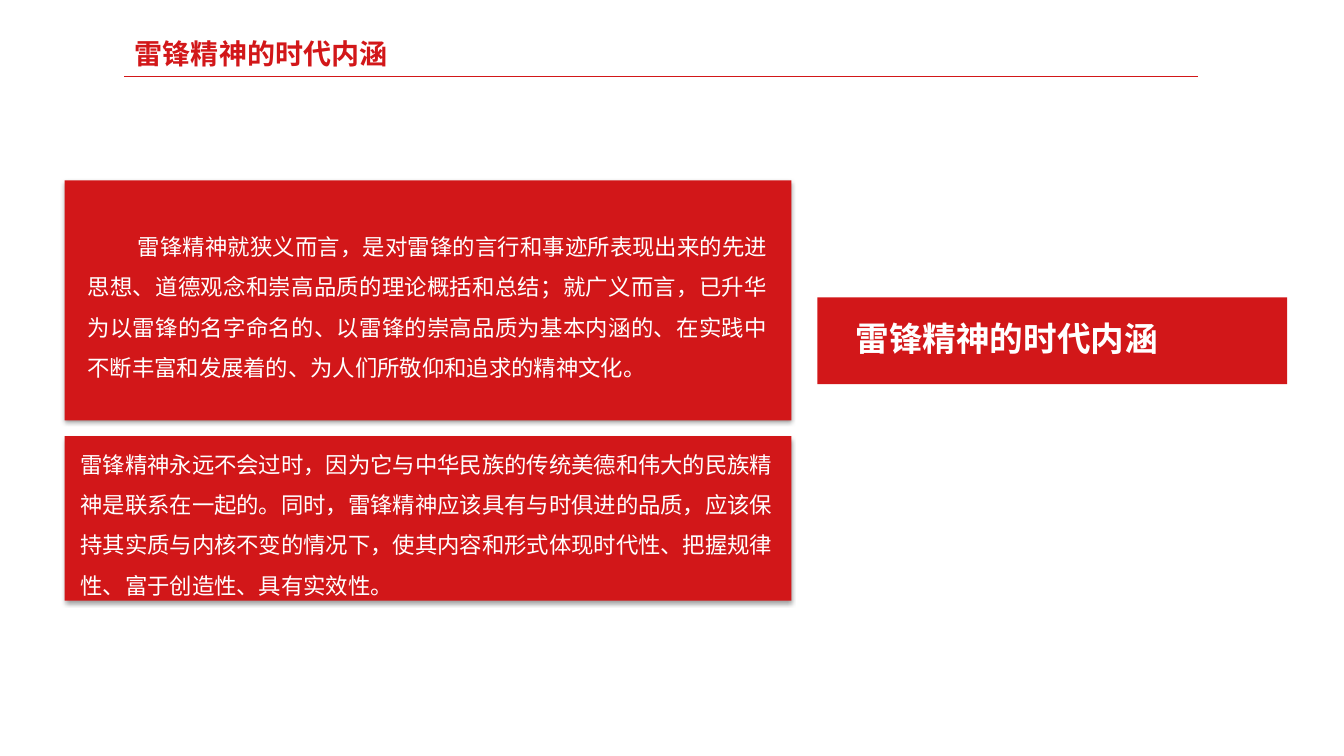
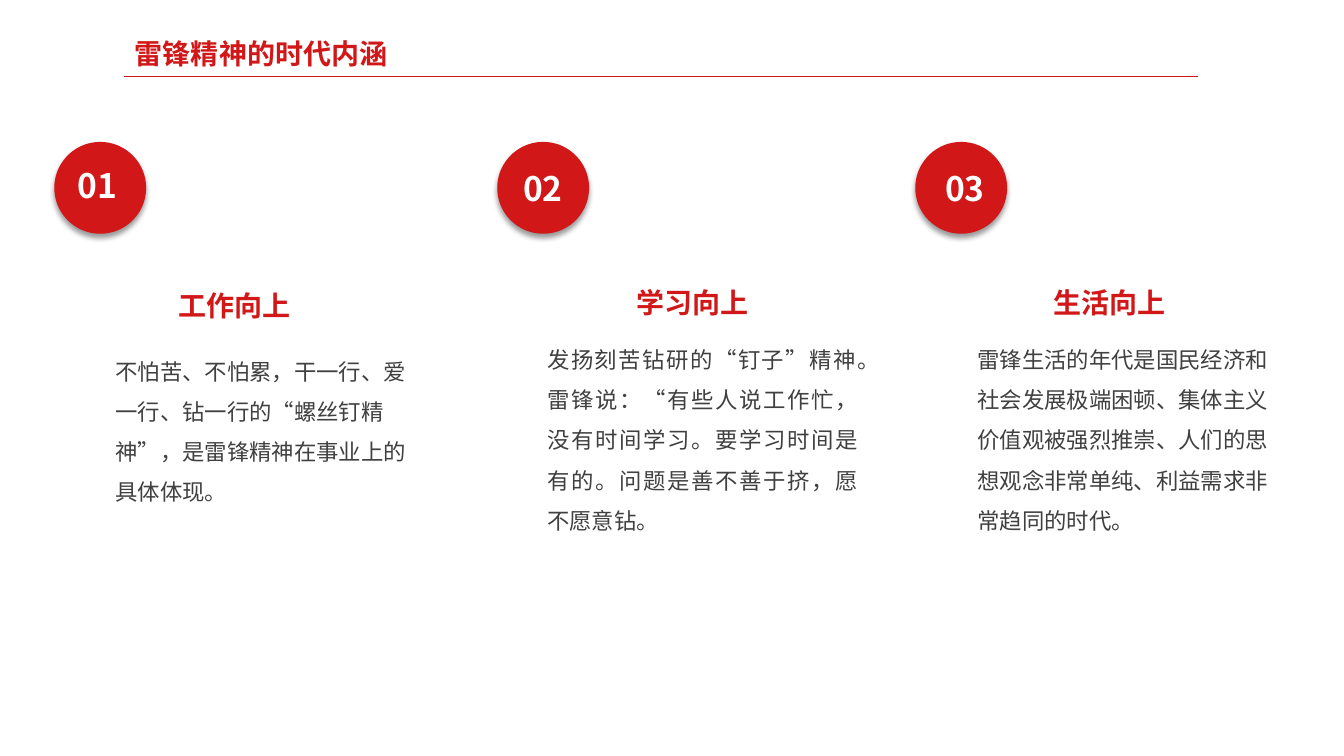
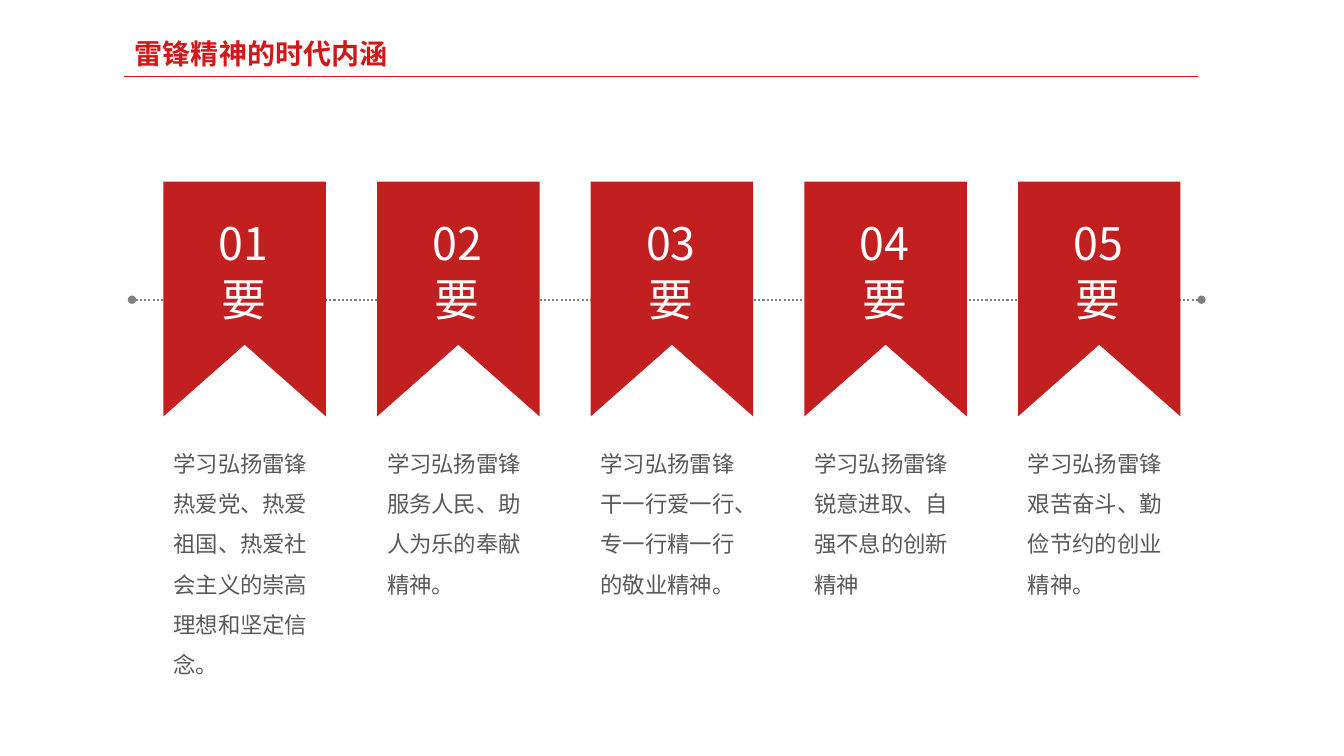
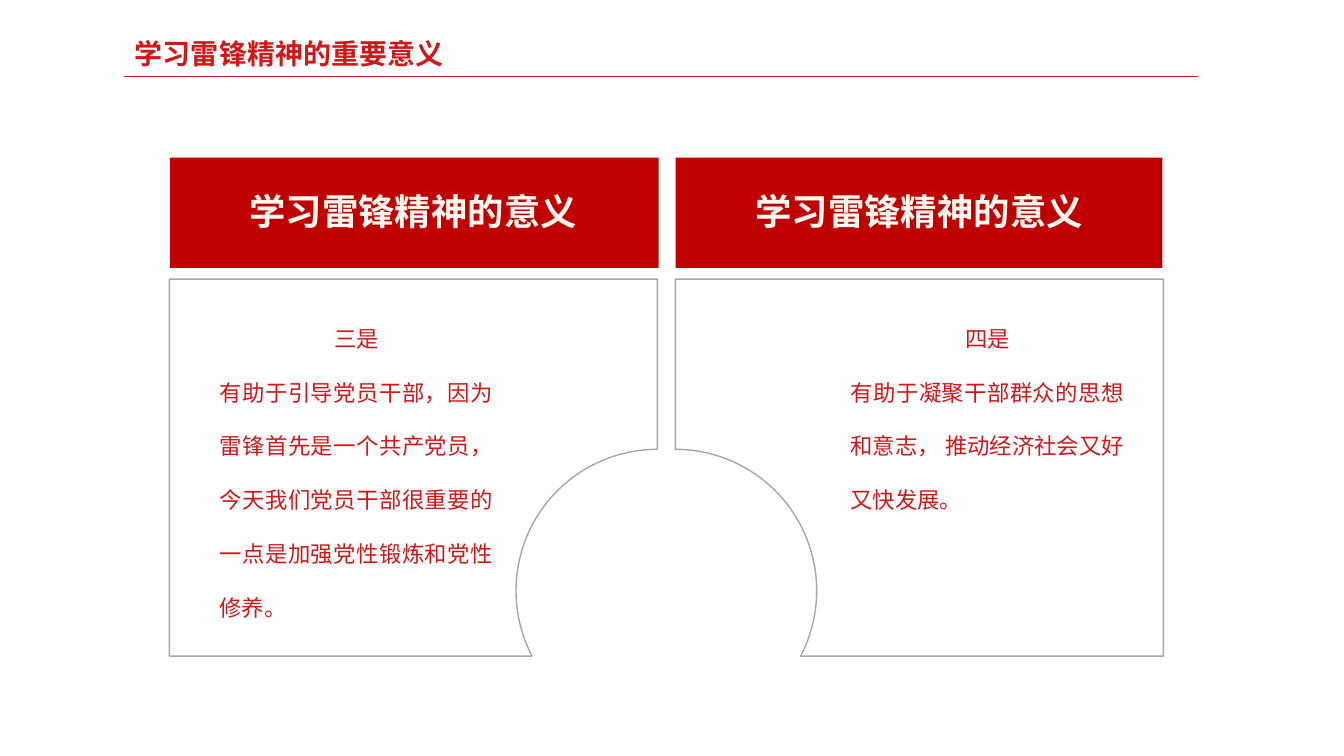
"""Build four slides on the spirit of Lei Feng and why it matters."""
from dataclasses import dataclass
from math import asin, cos, pi, sin
from typing import NamedTuple

from lxml.etree import SubElement
from pptx import Presentation
from pptx.dml.color import RGBColor as Rgb
from pptx.enum.dml import MSO_LINE_DASH_STYLE as Dash
from pptx.enum.shapes import MSO_CONNECTOR_TYPE as Link
from pptx.enum.shapes import MSO_SHAPE as Form
from pptx.enum.text import MSO_ANCHOR as Anchor
from pptx.enum.text import MSO_AUTO_SIZE as Fit
from pptx.enum.text import PP_ALIGN as Align
from pptx.oxml.ns import qn
from pptx.util import Pt


@dataclass(frozen=True)
class Theme:
    font: str = "Noto Sans CJK SC"
    red: str = "D21719"
    flag: str = "C11F20"
    deep: str = "C00000"
    white: str = "FFFFFF"
    cream: str = "FFFAF0"
    dark: str = "404040"
    gray: str = "595959"
    rule: str = "808080"
    edge: str = "A6A6A6"
    body: int = 16
    title: int = 20
    label: int = 24
    head: int = 26
    big: int = 32


class Box(NamedTuple):
    x: float
    y: float
    w: float
    h: float


class Shade(NamedTuple):
    alpha: int
    blur: float
    dist: float


@dataclass(frozen=True)
class Step:
    disc: float
    num: Box
    name: Box
    body: Box
    title: str
    text: str
    align: Align = Align.LEFT


@dataclass(frozen=True)
class Panel:
    side: int
    band: Box
    head: Box
    body: Box
    lead: str
    text: str


THEME = Theme()
SOFT = Shade(38, 3.1, 1.6)
DEEP = Shade(40, 4, 3)
TITLE = "雷锋精神的时代内涵"

STEPS = [
    Step(38.8, Box(48.2, 114.5, 49, 36), Box(120.2, 202.3, 110, 31.5),
         Box(75.5, 242.4, 228.2, 91.5), "工作向上",
         "不怕苦、不怕累，干一行、爱一行、钻一行的“螺丝钉精神”，是雷锋精神在事业上的具体体现。"),
    Step(355.2, Box(366.5, 116.3, 54, 36), Box(447.8, 200.2, 110, 31.5),
         Box(383.8, 234, 236, 120.2), "学习向上",
         "发扬刻苦钻研的“钉子”精神。雷锋说：“有些人说工作忙，没有时间学习。要学习时间是有的。"
         "问题是善不善于挤，愿不愿意钻。", Align.JUSTIFY),
    Step(653.8, Box(668, 116.3, 50, 36), Box(745.2, 200.2, 110, 31.5),
         Box(691.2, 234, 223.2, 152.6), "生活向上",
         "雷锋生活的年代是国民经济和社会发展极端困顿、集体主义价值观被强烈推崇、"
         "人们的思想观念非常单纯、利益需求非常趋同的时代。"),
]

AIMS = [
    "热爱党、热爱祖国、热爱社会主义的崇高理想和坚定信念。",
    "服务人民、助人为乐的奉献精神。",
    "干一行爱一行、专一行精一行的敬业精神。",
    "锐意进取、自强不息的创新精神",
    "艰苦奋斗、勤俭节约的创业精神。",
]

PANELS = [
    Panel(-1, Box(121.3, 112.6, 349.2, 78.8), Box(131.8, 131.8, 327, 39),
          Box(149.8, 209.5, 209.5, 196), "三是",
          "有助于引导党员干部，因为雷锋首先是一个共产党员，"
          "今天我们党员干部很重要的一点是加强党性锻炼和党性修养。"),
    Panel(1, Box(482.6, 112.6, 347.8, 78.8), Box(493.2, 131.8, 327, 39),
          Box(600.5, 209.5, 209.5, 163), "四是",
          "有助于凝聚干部群众的思想和意志， 推动经济社会又好又快发展。"),
]


def hue(code: str) -> Rgb:
    """Turn a hex code into a colour."""
    return Rgb.from_string(code)


def say(slide, box: Box, *texts: str, size: int = THEME.body, color: str = THEME.white,
        bold: bool = False, aligns: tuple = (Align.LEFT,), gap: float = 1.0,
        indent: float = 0, anchor: Anchor = Anchor.TOP, grow: bool = True) -> None:
    """Write one paragraph per text in a text box."""
    frame = slide.shapes.add_textbox(*map(Pt, box)).text_frame
    frame.word_wrap = True
    frame.auto_size = Fit.SHAPE_TO_FIT_TEXT if grow else Fit.NONE
    frame.vertical_anchor = anchor
    for i, text in enumerate(texts):
        para = frame.add_paragraph() if i else frame.paragraphs[0]
        para.alignment = aligns[i]
        para.line_spacing = gap
        if indent:
            para._p.get_or_add_pPr().set("indent", str(Pt(indent)))
        run = para.add_run()
        run.text = text
        font = run.font
        font.size, font.bold, font.name = Pt(size), bold, THEME.font
        font.color.rgb = hue(color)
        SubElement(run._r.get_or_add_rPr(), qn("a:ea"), typeface=THEME.font)


def paint(shape, fill: str = "", edge: str = "", shade: Shade | None = None) -> None:
    """Set the fill, outline and shadow of a shape."""
    if fill:
        shape.fill.solid()
        shape.fill.fore_color.rgb = hue(fill)
    else:
        shape.fill.background()
    if edge:
        shape.line.color.rgb = hue(edge)
        shape.line.width = Pt(1)
    else:
        shape.line.fill.background()
    shape.shadow.inherit = False
    if shade:
        glow = shape._element.spPr.find(qn("a:effectLst"))
        outer = SubElement(glow, qn("a:outerShdw"), blurRad=str(Pt(shade.blur)),
                           dist=str(Pt(shade.dist)), dir="5400000",
                           algn="t", rotWithShape="0")
        tint = SubElement(outer, qn("a:srgbClr"), val="000000")
        SubElement(tint, qn("a:alpha"), val=str(shade.alpha * 1000))


def block(slide, box: Box, fill: str, form: Form = Form.RECTANGLE,
          shade: Shade | None = None) -> None:
    """Draw a filled preset shape."""
    paint(slide.shapes.add_shape(form, *map(Pt, box)), fill, shade=shade)


def trace(slide, points: list, fill: str = "", edge: str = "") -> None:
    """Draw a closed outline through the points."""
    spots = [(Pt(x), Pt(y)) for x, y in points]
    path = slide.shapes.build_freeform(*spots[0])
    path.add_line_segments(spots[1:], close=True)
    paint(path.convert_to_shape(), fill, edge)


def rule(slide, left: float, right: float, y: float, color: str, width: float,
         dots: bool = False) -> None:
    """Draw a level line, dotted with round ends on request."""
    link = slide.shapes.add_connector(Link.STRAIGHT, Pt(left), Pt(y), Pt(right), Pt(y))
    link.line.color.rgb = hue(color)
    link.line.width = Pt(width)
    if dots:
        link.line.dash_style = Dash.ROUND_DOT
        for end in ("a:headEnd", "a:tailEnd"):
            SubElement(link.line._get_or_add_ln(), qn(end), type="oval")
    SubElement(link._element.spPr, qn("a:effectLst"))


def start(deck, title: str):
    """Add a blank slide with its title and rule."""
    slide = deck.slides.add_slide(deck.slide_layouts[6])
    rule(slide, 88.6, 855.4, 54.7, THEME.red, 1)
    say(slide, Box(89.3, 15.1, 272.2, 36), title, size=THEME.title,
        color=THEME.red, bold=True, gap=1.3)
    return slide


def sense(deck) -> None:
    """Draw the slide on what the spirit means."""
    slide = start(deck, TITLE)
    block(slide, Box(583.9, 212.4, 335.5, 62), THEME.red)
    say(slide, Box(604, 221, 294.5, 44.6), TITLE, size=THEME.label, bold=True,
        aligns=(Align.JUSTIFY,), gap=0.9, anchor=Anchor.MIDDLE, grow=False)
    block(slide, Box(46.2, 128.8, 519.1, 171.4), THEME.red, shade=SOFT)
    say(slide, Box(55.4, 152.6, 500.4, 123.8),
        "雷锋精神就狭义而言，是对雷锋的言行和事迹所表现出来的先进思想、道德观念和崇高品质的"
        "理论概括和总结；就广义而言，已升华为以雷锋的名字命名的、以雷锋的崇高品质为基本内涵的、"
        "在实践中不断丰富和发展着的、为人们所敬仰和追求的精神文化。",
        aligns=(Align.JUSTIFY,), gap=1.5, indent=36, anchor=Anchor.MIDDLE)
    block(slide, Box(46.2, 311.6, 519.1, 117.4), THEME.red, shade=SOFT)
    say(slide, Box(50.4, 308.2, 510.5, 123.8),
        "雷锋精神永远不会过时，因为它与中华民族的传统美德和伟大的民族精神是联系在一起的。"
        "同时，雷锋精神应该具有与时俱进的品质，应该保持其实质与内核不变的情况下，"
        "使其内容和形式体现时代性、把握规律性、富于创造性、具有实效性。",
        gap=1.5, anchor=Anchor.MIDDLE)


def climb(deck) -> None:
    """Draw the slide on the three ways to rise."""
    slide = start(deck, TITLE)
    for i, step in enumerate(STEPS, 1):
        block(slide, Box(step.disc, 101.4, 65.6, 65.6), THEME.red, Form.OVAL, DEEP)
        say(slide, step.num, f"{i:02}", size=THEME.label, bold=True)
        say(slide, step.name, step.title, size=THEME.title, color=THEME.red,
            bold=True, aligns=(Align.JUSTIFY,))
        say(slide, step.body, step.text, color=THEME.dark,
            aligns=(step.align,), gap=1.5)


def goals(deck) -> None:
    """Draw the slide of five numbered ribbons."""
    slide = start(deck, TITLE)
    rule(slide, 858.2, 94.3, 214.1, THEME.rule, 1.5, dots=True)
    wide, top, low, notch = 116, 129.8, 297.4, 246.2
    for i, aim in enumerate(AIMS):
        x = 116.8 + 152.6 * i
        trace(slide, [(x, top), (x + wide, top), (x + wide, low),
                      (x + wide / 2, notch), (x, low)], fill=THEME.flag)
        for text, y in ((f"{i + 1:02}", 150.5), ("要", 190.8)):
            say(slide, Box(x + 25.6, y, 63.4, 46), text, size=THEME.big,
                aligns=(Align.CENTER,))
        say(slide, Box(x, 308.2, wide, 123.8), "学习弘扬雷锋" + aim,
            color=THEME.gray, gap=1.5)


def curve(side: int) -> list:
    """List the points of a panel with a round bite at its inner foot."""
    mid, top, low, hub, r = 476, 199.4, 468.7, 422, 101
    near, far = mid + side * 6.4, mid + side * 355
    last, count = asin((low - hub) / r), 48
    turns = [last - (last + pi / 2) * i / count for i in range(count + 1)]
    arc = [(near + side * r * cos(t), hub + r * sin(t)) for t in turns]
    return [(near, top), (far, top), (far, low), *arc]


def worth(deck) -> None:
    """Draw the slide on why the spirit matters."""
    slide = start(deck, "学习雷锋精神的重要意义")
    for panel in PANELS:
        trace(slide, curve(panel.side), edge=THEME.edge)
        block(slide, panel.band, THEME.deep)
        say(slide, panel.head, "学习雷锋精神的意义", size=THEME.head,
            color=THEME.cream, bold=True, aligns=(Align.CENTER,))
        say(slide, panel.body, panel.lead, panel.text, color=THEME.red,
            aligns=(Align.CENTER, Align.JUSTIFY), gap=2.0)


def main() -> None:
    """Build and save the deck."""
    deck = Presentation()
    deck.slide_width, deck.slide_height = Pt(960), Pt(540)
    for draw in (sense, climb, goals, worth):
        draw(deck)
    deck.save("out.pptx")


if __name__ == "__main__":
    main()
